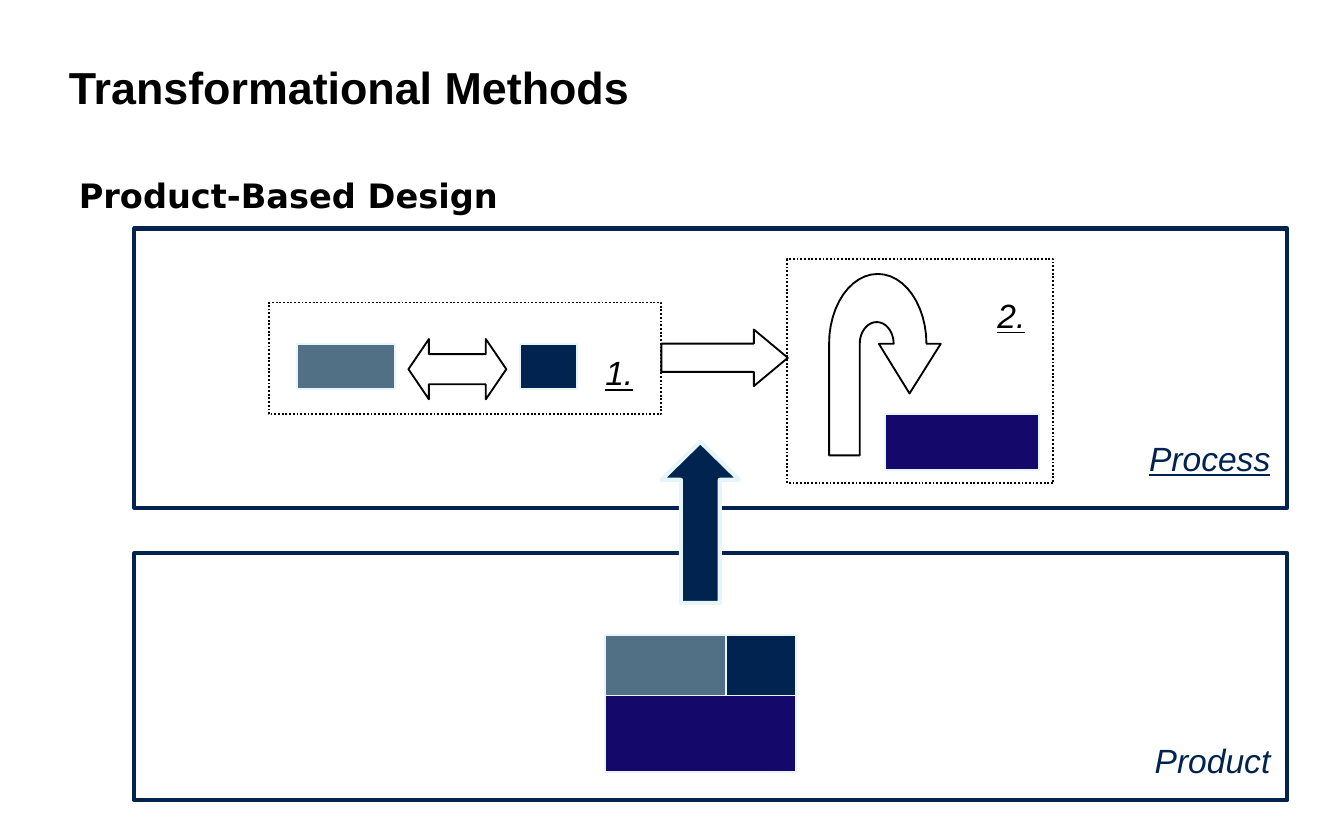
import math

import pptx
import pptx.dml.color
import pptx.enum.dml
import pptx.enum.shapes
import pptx.enum.text
import pptx.util

Cm, Pt = pptx.util.Cm, pptx.util.Pt
SHAPE = pptx.enum.shapes.MSO_SHAPE
ALIGN = pptx.enum.text.PP_ALIGN
ANCHOR = pptx.enum.text.MSO_ANCHOR

COLORS = {
    "white": "FFFFFF",
    "black": "000000",
    "navy": "002350",
    "slate": "516F85",
    "indigo": "14096A",
    "pale": "E5F5FA",
}


def rgb(name):
    return pptx.dml.color.RGBColor.from_string(COLORS[name])


def paint(shape, fill, line, width=1):
    shape.shadow.inherit = False
    if fill:
        shape.fill.solid()
        shape.fill.fore_color.rgb = rgb(fill)
    else:
        shape.fill.background()
    shape.line.color.rgb = rgb(line)
    shape.line.width = Pt(width)


def add_preset(slide, kind, box, fill, line, width=1):
    shape = slide.shapes.add_shape(kind, *map(Cm, box))
    paint(shape, fill, line, width)
    return shape


def add_block(slide, box, fill):
    add_preset(slide, SHAPE.RECTANGLE, box, fill, "pale")


def add_panel(slide, box):
    add_preset(slide, SHAPE.RECTANGLE, box, "white", "navy", 2.25)


def add_dotted_frame(slide, box):
    frame = add_preset(slide, SHAPE.RECTANGLE, box, None, "black")
    frame.line.dash_style = pptx.enum.dml.MSO_LINE.ROUND_DOT


def style_text(shape, text, size, font, color, **emphasis):
    shape.text_frame.text = text
    run = shape.text_frame.paragraphs[0].runs[0]
    run.font.size = Pt(size)
    run.font.name = font
    run.font.color.rgb = rgb(color)
    for attribute, value in emphasis.items():
        setattr(run.font, attribute, value)


def add_label(slide, box, text, color, underline=True):
    label = slide.shapes.add_textbox(*map(Cm, box))
    style_text(label, text, 18, "Arial", color, italic=True, underline=underline)
    frame = label.text_frame
    frame.word_wrap = False
    frame.margin_left = frame.margin_right = Cm(0.3)
    frame.margin_top = frame.margin_bottom = Cm(0.15)
    frame.paragraphs[0].alignment = ALIGN.RIGHT


def arc(center_x, center_y, radius_x, radius_y, start, end, steps=24):
    angles = [math.radians(start + (end - start) * i / steps) for i in range(steps + 1)]
    return [(center_x + radius_x * math.cos(a), center_y - radius_y * math.sin(a))
            for a in angles]


def add_u_turn(slide, left, top):
    neck = 1.32
    outline = [(1.52, 2.26), (2.11, neck)]
    outline += arc(0.92, neck, 0.92, 1.32, 0, 180)
    outline += [(0, 3.43), (0.58, 3.43)]
    outline += arc(0.9, neck, 0.32, 0.41, 180, 0)
    outline += [(0.94, neck)]
    points = [(Cm(left + x), Cm(top + y)) for x, y in outline]
    builder = slide.shapes.build_freeform(*points[0])
    builder.add_line_segments(points[1:], close=True)
    paint(builder.convert_to_shape(), "white", "black")


def add_headings(slide, left, top):
    title = slide.shapes.title
    title.left, title.top, title.width, title.height = map(Cm, (left, top, 19, 2.51))
    style_text(title, "Transformational Methods", 24, "Arial", "black", bold=True)
    frame = title.text_frame
    frame.margin_left = frame.margin_right = frame.margin_top = frame.margin_bottom = 0
    frame.vertical_anchor = ANCHOR.MIDDLE
    frame.paragraphs[0].alignment = ALIGN.LEFT

    subtitle = slide.shapes.add_textbox(*map(Cm, (left - 0.06, top + 2.8, 24.16, 1.02)))
    style_text(subtitle, "Product-Based Design", 18, "DejaVu Sans", "black", bold=True)
    subtitle.text_frame.word_wrap = True


def add_first_step(slide, left, top, width, height):
    row = top + 0.79
    add_block(slide, (left + 0.53, row, 1.85, 0.84), "slate")
    add_block(slide, (left + 4.75, row, 1.07, 0.84), "navy")
    exchange = add_preset(slide, SHAPE.LEFT_RIGHT_ARROW,
                          (left + 2.64, top + 0.69, 1.85, 1.14), "white", "black")
    exchange.adjustments[1] = 0.34
    add_dotted_frame(slide, (left, top, width, height))
    add_label(slide, (left + 6.05, row, 1.14, 1.07), "1.", "black")


def add_second_step(slide, left, top, width, height):
    add_block(slide, (left + 1.85, top + 2.92, 2.9, 1.07), "indigo")
    add_u_turn(slide, left + 0.79, top + 0.28)
    add_dotted_frame(slide, (left, top, width, height))
    add_label(slide, (left + 3.66, top + 0.53, 1.14, 1.07), "2.", "black")


def add_process(slide, left, top, width, height):
    add_panel(slide, (left, top, width, height))
    add_first_step(slide, left + 2.54, top + 1.4, 7.42, 2.11)
    add_second_step(slide, left + 12.34, top + 0.58, 5.03, 4.24)
    next_step = add_preset(slide, SHAPE.RIGHT_ARROW,
                           (left + 9.96, top + 1.91, 2.39, 1.07), "white", "black")
    next_step.adjustments[1] = 0.6
    add_label(slide, (left + 18.82, top + 3.81, 2.95, 1.07), "Process", "navy")


def add_product(slide, left, top, width, height):
    add_panel(slide, (left, top, width, height))
    # Arrow that leads up into the process panel
    derivation = add_preset(slide, SHAPE.DOWN_ARROW,
                            (left + 9.96, top - 2.11, 1.47, 3.05), "navy", "pale", 2.25)
    derivation.rotation = 180
    derivation.adjustments[1] = 0.49
    # Product made of three parts
    part_left, part_top = left + 8.89, top + 1.55
    add_block(slide, (part_left, part_top, 2.29, 1.14), "slate")
    add_block(slide, (part_left, part_top + 1.14, 3.61, 1.45), "indigo")
    add_block(slide, (part_left + 2.29, part_top, 1.32, 1.14), "navy")
    add_label(slide, (left + 18.95, top + 3.38, 2.82, 1.07), "Product", "navy",
              underline=False)


def main():
    deck = pptx.Presentation()
    deck.slide_width, deck.slide_height = Cm(25.4), Cm(15.88)
    slide = deck.slides.add_slide(deck.slide_layouts[5])
    add_headings(slide, 1.3, 0.38)
    add_process(slide, 2.54, 4.32, 21.79, 5.28)
    add_product(slide, 2.54, 10.46, 21.79, 4.67)
    deck.save("out.pptx")


if __name__ == "__main__":
    main()
